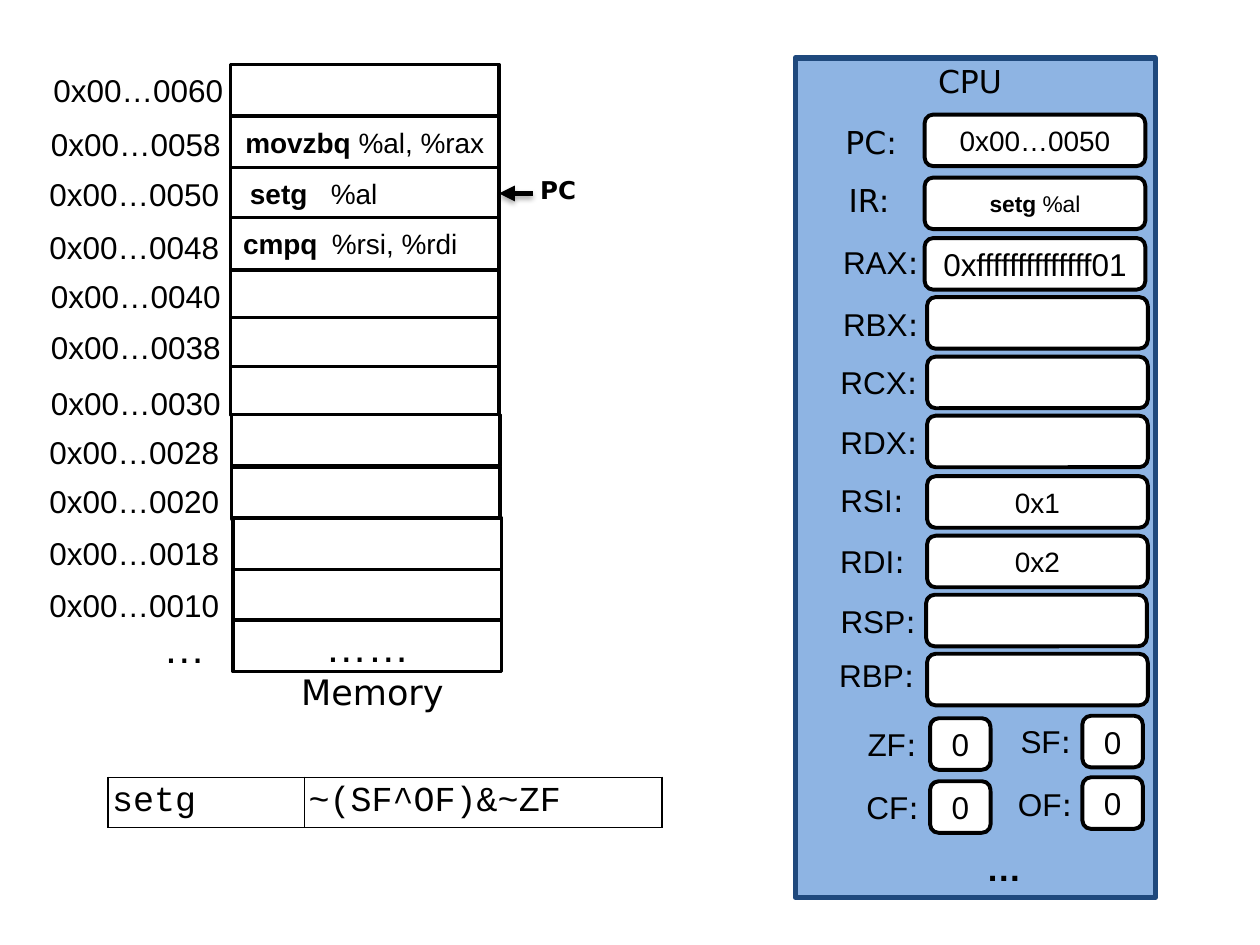
"""Draw a memory column beside a CPU's registers while a setg instruction runs."""
from typing import Any, NamedTuple

import lxml.etree
import pptx
import pptx.dml.color
import pptx.enum.shapes
import pptx.enum.text
import pptx.oxml
import pptx.oxml.ns
import pptx.util

Cm, Pt = pptx.util.Cm, pptx.util.Pt
Align = pptx.enum.text.PP_ALIGN
Shapes = pptx.enum.shapes.MSO_SHAPE
qn = pptx.oxml.ns.qn
ARIAL, DEJAVU, COURIER = "Arial", "DejaVu Sans", "Courier New"
BLACK, WHITE, PANEL_BLUE, PANEL_EDGE = "000000", "FFFFFF", "8EB4E3", "1F497D"
LABEL_HEIGHT, BOX_HEIGHT = 1.02, 1.04


class Run(NamedTuple):
    text: str
    font: str = ARIAL
    bold: bool = False


class Box(NamedTuple):
    left: float
    top: float
    width: float
    height: float = BOX_HEIGHT


class MemoryRow(NamedTuple):
    address: str
    address_left: float
    address_top: float
    cell: Box
    runs: tuple[Run, ...] = ()
    tab: float = 0
    indent: float = 0


class Register(NamedTuple):
    name: str
    label: Box
    value_box: Box
    value: tuple[Run, ...] = ()
    size: float = 18
    name_font: str = ARIAL


def row(address: str, address_left: float, address_top: float, left: float, top: float,
        height: float = BOX_HEIGHT, runs: tuple[Run, ...] = (), tab: float = 0,
        indent: float = 0) -> MemoryRow:
    """Describe one memory row and its address label."""
    return MemoryRow(f"0x00…00{address}", address_left, address_top,
                     Box(left, top, 5.41, height), runs, tab, indent)


def register(name: str, label: tuple[float, float, float], left: float, top: float, value: str = "",
             size: float = 16, name_font: str = ARIAL, opcode: str = "", width: float = 4.45) -> Register:
    """Describe one register or flag with its label and value box."""
    runs = ((Run(opcode + " ", bold=True),) if opcode else ()) + ((Run(value),) if value else ())
    return Register(name, Box(*label, LABEL_HEIGHT), Box(left, top, width), runs, size, name_font)


MEMORY = [
    row("60", 0.79, 1.3, 4.65, 1.3),
    row("58", 0.74, 2.39, 4.65, 2.34, runs=(Run("movzbq ", bold=True), Run("%al, %rax"))),
    row("50", 0.71, 3.4, 4.65, 3.38, runs=(Run("setg\t", bold=True), Run("%al")), tab=1.63, indent=0.14),
    row("48", 0.71, 4.47, 4.65, 4.39, runs=(Run("cmpq\t", bold=True), Run("%rsi, %rdi")), tab=1.79),
    row("40", 0.74, 5.46, 4.65, 5.44, 0.99),
    row("38", 0.74, 6.48, 4.65, 6.4, 0.99),
    row("30", 0.74, 7.62, 4.65, 7.39, 0.99),
    row("28", 0.71, 8.61, 4.67, 8.36),
    row("20", 0.71, 9.6, 4.67, 9.42),
    row("18", 0.71, 10.64, 4.7, 10.44),
    row("10", 0.71, 11.68, 4.7, 11.48),
]
REGISTERS = [
    register("PC", (16.74, 2.36, 1.65), 18.64, 2.31, "0x00…0050", name_font=DEJAVU),
    register("IR", (16.76, 3.53, 1.52), 18.64, 3.58, "%al", 13, DEJAVU, "setg"),
    register("RAX", (16.69, 4.78, 2.13), 18.64, 4.8, "0xffffffffffffff01", 18),
    register("RBX", (16.69, 6.02, 2.13), 18.69, 5.99),
    register("RCX", (16.64, 7.19, 2.16), 18.69, 7.19),
    register("RDX", (16.64, 8.41, 2.16), 18.69, 8.38),
    register("RSI", (16.64, 9.58, 1.88), 18.69, 9.6, "0x1"),
    register("RDI", (16.64, 10.8, 1.9), 18.69, 10.8, "0x2"),
    register("RSP", (16.64, 12.01, 2.13), 18.67, 11.99),
    register("RBP", (16.61, 13.11, 2.13), 18.69, 13.18),
    register("ZF", (17.2, 14.5, 1.57), 18.75, 14.48, "0", 18, width=1.22),
    register("SF", (20.27, 14.43, 1.63), 21.82, 14.43, "0", 18, width=1.22),
    register("CF", (17.17, 15.77, 1.65), 18.75, 15.75, "0", 18, width=1.22),
    register("OF", (20.22, 15.7, 1.7), 21.82, 15.67, "0", 18, width=1.22),
]


def rgb(code: str) -> pptx.dml.color.RGBColor:
    """Turn a hex string into a colour."""
    return pptx.dml.color.RGBColor.from_string(code)


def write(frame: Any, runs: tuple[Run, ...], size: float, align: Any = Align.CENTER, tab: float = 0) -> None:
    """Fill the first paragraph of a text frame with runs."""
    paragraph = frame.paragraphs[0]
    paragraph.alignment = align
    if tab:
        tabs = lxml.etree.SubElement(paragraph._p.get_or_add_pPr(), qn("a:tabLst"))
        lxml.etree.SubElement(tabs, qn("a:tab"), pos=str(Cm(tab)), algn="l")
    paragraph.font.size = Pt(size)
    paragraph.font.color.rgb = rgb(BLACK)
    same_font = len({run.font for run in runs}) == 1
    same_weight = len({run.bold for run in runs}) == 1
    if same_font:
        paragraph.font.name = runs[0].font
    if same_weight:
        paragraph.font.bold = runs[0].bold
    for run in runs:
        piece = paragraph.add_run()
        piece.text = run.text
        if not same_font:
            piece.font.name = run.font
        if not same_weight:
            piece.font.bold = run.bold


def add_label(slide: Any, box: Box, runs: tuple[Run, ...], size: float = 18, align: Any = Align.CENTER) -> None:
    """Add an unwrapped text label."""
    frame = slide.shapes.add_textbox(*map(Cm, box)).text_frame
    frame.word_wrap = False
    frame.auto_size = pptx.enum.text.MSO_AUTO_SIZE.SHAPE_TO_FIT_TEXT
    write(frame, runs, size, align)


def add_box(slide: Any, kind: Any, box: Box, line_width: float, fill: str = WHITE, line: str = BLACK) -> Any:
    """Add a filled and outlined shape without shadow."""
    shape = slide.shapes.add_shape(kind, *map(Cm, box))
    shape.shadow.inherit = False
    shape.fill.solid()
    shape.fill.fore_color.rgb = rgb(fill)
    shape.line.color.rgb = rgb(line)
    shape.line.width = Pt(line_width)
    shape.text_frame.word_wrap = True
    shape.text_frame.vertical_anchor = pptx.enum.text.MSO_ANCHOR.MIDDLE
    return shape


def add_memory_row(slide: Any, item: MemoryRow) -> Any:
    """Draw a memory cell with its address and return the cell."""
    cell = add_box(slide, Shapes.RECTANGLE, item.cell, 2)
    if item.runs:
        cell.text_frame.margin_left = Cm(0.25 + item.indent)
        write(cell.text_frame, item.runs, 16, Align.LEFT if item.tab else Align.CENTER, item.tab)
    address = Box(item.address_left, item.address_top, 3.96, LABEL_HEIGHT)
    add_label(slide, address, (Run(item.address),), align=Align.RIGHT)
    return cell


def add_register(slide: Any, item: Register) -> None:
    """Draw a register's label and value box."""
    value_box = add_box(slide, Shapes.ROUNDED_RECTANGLE, item.value_box, 2.25)
    if item.value:
        write(value_box.text_frame, item.value, item.size)
    add_label(slide, item.label, (Run(item.name, item.name_font), Run(":", DEJAVU)))


def add_pc_arrow(slide: Any, target: Any) -> None:
    """Point the program counter at the right side of a memory cell."""
    middle = target.top + target.height // 2
    arrow = slide.shapes.add_connector(pptx.enum.shapes.MSO_CONNECTOR.STRAIGHT, Cm(10.74), middle,
                                       target.left + target.width, middle)
    arrow.end_connect(target, 3)
    arrow.line.color.rgb = rgb(BLACK)
    arrow.line.width = Pt(3)
    lxml.etree.SubElement(arrow.line._get_or_add_ln(), qn("a:tailEnd"), type="triangle")
    effects = lxml.etree.SubElement(arrow._element.spPr, qn("a:effectLst"))
    shadow = lxml.etree.SubElement(effects, qn("a:outerShdw"), blurRad=str(Pt(3.1)), dist=str(Pt(1.8)),
                                   dir="5400000", rotWithShape="0")
    shade = lxml.etree.SubElement(shadow, qn("a:srgbClr"), val=BLACK)
    lxml.etree.SubElement(shade, qn("a:alpha"), val="35000")


def add_condition_table(slide: Any) -> None:
    """Add the table that gives the condition tested by setg."""
    table = slide.shapes.add_table(1, 2, Cm(2.18), Cm(15.67), Cm(11.17), Cm(0.99)).table
    table.first_row = table.horz_banding = False
    for column, width, text in zip(table.columns, (3.96, 7.21), ("setg", "~(SF^OF)&~ZF")):
        column.width = Cm(width)
        cell = table.cell(0, 0 if text == "setg" else 1)
        cell.margin_left = cell.margin_right = cell.margin_top = cell.margin_bottom = Cm(0.08)
        cell.vertical_anchor = pptx.enum.text.MSO_ANCHOR.MIDDLE
        for side in ("a:lnL", "a:lnR", "a:lnT", "a:lnB"):
            border = lxml.etree.SubElement(cell._tc.get_or_add_tcPr(), qn(side), w=str(Pt(1)))
            paint = lxml.etree.SubElement(border, qn("a:solidFill"))
            lxml.etree.SubElement(paint, qn("a:srgbClr"), val=BLACK)
        cell.fill.background()
        write(cell.text_frame, (Run(text, COURIER),), 20, Align.LEFT)


def main() -> None:
    """Build the slide and save it."""
    deck = pptx.Presentation()
    deck.slide_width, deck.slide_height = Cm(25.4), Cm(19.05)
    slide = deck.slides.add_slide(deck.slide_layouts[6])
    add_box(slide, Shapes.RECTANGLE, Box(16.03, 1.17, 7.26, 16.92), 3, PANEL_BLUE, PANEL_EDGE)
    add_label(slide, Box(18.64, 1.12, 1.83, LABEL_HEIGHT), (Run("CPU", DEJAVU),))
    for item in REGISTERS:
        add_register(slide, item)
    add_label(slide, Box(19.63, 16.94, 1.22, 1.12), (Run("…", bold=True),), 20)
    cells = [add_memory_row(slide, item) for item in MEMORY]
    rest = add_box(slide, Shapes.RECTANGLE, Box(4.7, 12.5, 5.41), 2)
    write(rest.text_frame, (Run("……"),), 24)
    add_label(slide, Box(3.02, 12.4, 1.37, 1.27), (Run("…"),), 24, Align.RIGHT)
    add_label(slide, Box(5.82, 13.39, 3.38, 1.12), (Run("Memory", DEJAVU),), 20, Align.LEFT)
    add_pc_arrow(slide, cells[2])
    add_label(slide, Box(10.64, 3.4, 1.24, 0.86), (Run("PC", DEJAVU, True),), 14, Align.LEFT)
    add_condition_table(slide)
    deck.save("out.pptx")


if __name__ == "__main__":
    main()
